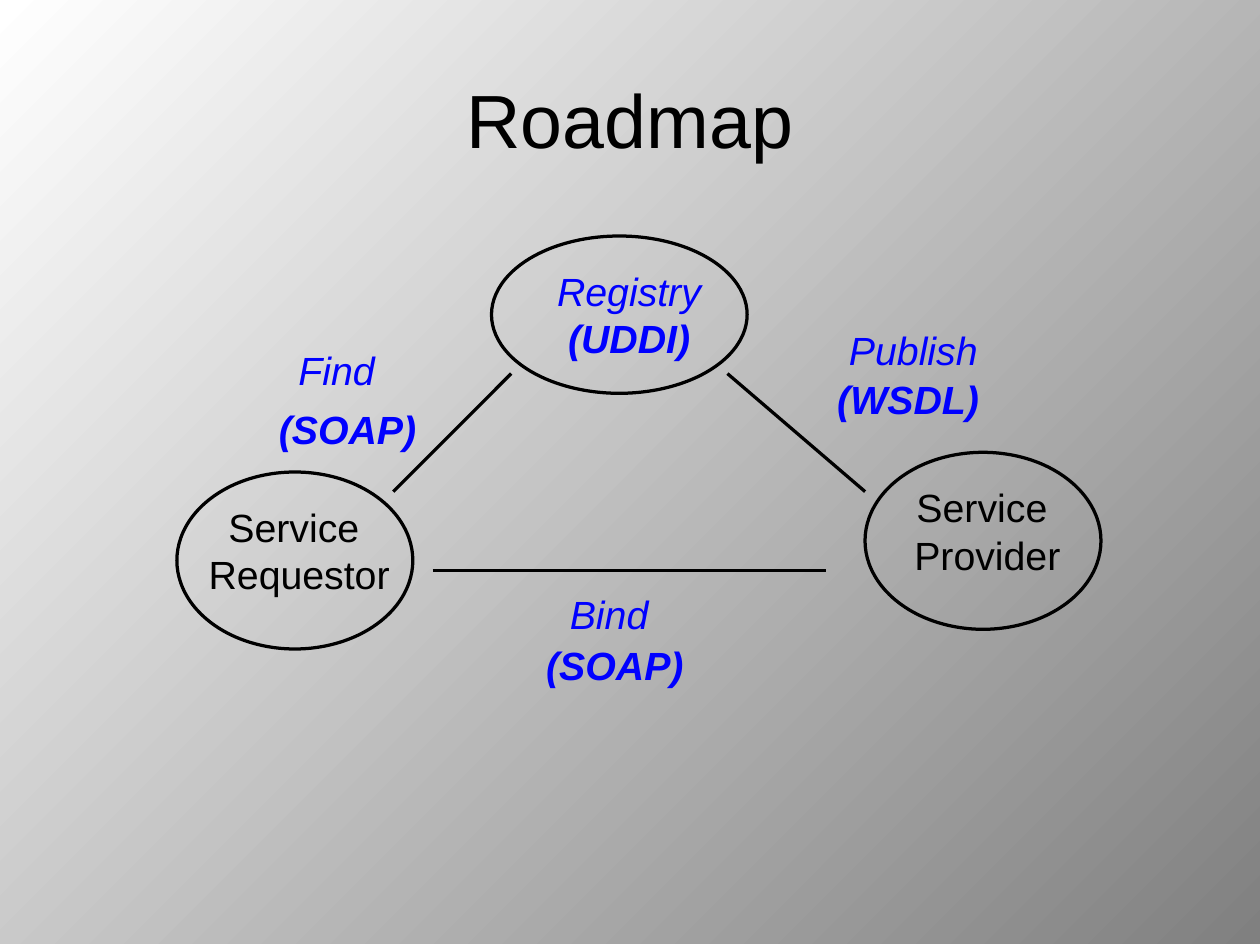
from dataclasses import dataclass
from typing import Any

from lxml.etree import SubElement
from pptx import Presentation
from pptx.dml.color import RGBColor
from pptx.enum.shapes import MSO_CONNECTOR, MSO_SHAPE
from pptx.enum.text import MSO_ANCHOR, MSO_AUTO_SIZE, PP_ALIGN
from pptx.oxml.ns import qn
from pptx.util import Inches, Length, Pt


@dataclass(frozen=True)
class Theme:
    font: str = "Arial"
    black: RGBColor = RGBColor(0, 0, 0)
    blue: RGBColor = RGBColor(0, 0, 255)
    gray: RGBColor = RGBColor(128, 128, 128)
    white: RGBColor = RGBColor(255, 255, 255)
    title: float = 23
    body: float = 12
    line: float = 1


@dataclass(frozen=True)
class Box:
    col: float
    row: float
    cols: float
    rows: float

    def place(self) -> tuple[Length, ...]:
        return tuple(grid(n) for n in (self.col, self.row, self.cols, self.rows))


@dataclass(frozen=True)
class Line:
    text: str
    color: RGBColor
    bold: bool = False
    italic: bool = False
    size: float = Theme.body


@dataclass(frozen=True)
class Node:
    oval: Box
    label: Box
    lines: tuple[Line, ...]
    wrap: bool = False


@dataclass(frozen=True)
class Edge:
    start: tuple[float, float]
    end: tuple[float, float]


@dataclass(frozen=True)
class Label:
    box: Box
    line: Line


THEME = Theme()
CELLS_PER_INCH = 12


def grid(n: float) -> Length:
    return Inches(n / CELLS_PER_INCH)


def action(text: str) -> Line:
    return Line(text, THEME.blue, italic=True)


def protocol(text: str) -> Line:
    return Line(text, THEME.blue, bold=True, italic=True)


def role(text: str) -> Line:
    return Line(text, THEME.black)


def add_text(shapes: Any, box: Box, lines: tuple[Line, ...],
             align: PP_ALIGN = PP_ALIGN.CENTER, wrap: bool = False) -> Any:
    tf = shapes.add_textbox(*box.place()).text_frame
    tf.word_wrap = wrap
    tf.auto_size = MSO_AUTO_SIZE.SHAPE_TO_FIT_TEXT
    for i, line in enumerate(lines):
        p = tf.add_paragraph() if i else tf.paragraphs[0]
        p.alignment = align
        r = p.add_run()
        r.text = line.text
        r.font.name = THEME.font
        r.font.size = Pt(line.size)
        r.font.bold = line.bold
        r.font.italic = line.italic
        r.font.color.rgb = line.color
    return tf


def add_title(shapes: Any, box: Box, text: str) -> None:
    line = Line(text, THEME.black, size=THEME.title)
    tf = add_text(shapes, box, (line,), wrap=True)
    tf.auto_size = MSO_AUTO_SIZE.NONE
    tf.vertical_anchor = MSO_ANCHOR.MIDDLE
    tf.margin_left = tf.margin_right = Inches(0.05)
    tf.margin_top = tf.margin_bottom = Inches(0.03)


def style_line(sp: Any) -> None:
    sp.line.color.rgb = THEME.black
    sp.line.width = Pt(THEME.line)


def add_node(shapes: Any, node: Node) -> None:
    group = shapes.add_group_shape()
    sp = group.shapes.add_shape(MSO_SHAPE.OVAL, *node.oval.place())
    sp.shadow.inherit = False
    sp.fill.background()
    style_line(sp)
    add_text(group.shapes, node.label, node.lines, wrap=node.wrap)


def add_edge(shapes: Any, edge: Edge) -> None:
    ends = [grid(n) for n in (*edge.start, *edge.end)]
    sp = shapes.add_connector(MSO_CONNECTOR.STRAIGHT, *ends)
    style_line(sp)
    SubElement(sp._element.spPr, qn("a:effectLst"))


def paint_background(s: Any) -> None:
    fill = s.background.fill
    fill.gradient()
    fill.gradient_angle = 135
    for stop, color in zip(fill.gradient_stops, (THEME.gray, THEME.white)):
        stop.color.rgb = color


NODES = (
    Node(Box(25, 12, 13, 8), Box(27, 13, 10, 6),
         (action("Registry"), protocol("(UDDI)")), wrap=True),
    Node(Box(9, 24, 12, 9), Box(9.4, 25, 11.65, 6),
         (role("Service "), role("Requestor"))),
    Node(Box(44, 23, 12, 9), Box(45.25, 24, 9.95, 6),
         (role("Service "), role("Provider"))),
)
EDGES = (
    Edge((26, 19), (20, 25)),
    Edge((37, 19), (44, 25)),
    Edge((22, 29), (42, 29)),
)
LABELS = (
    Label(Box(14, 17, 6.5, 3.6), action("Find")),
    Label(Box(42, 16, 9.25, 3.6), action("Publish")),
    Label(Box(27.8, 29.4, 6.75, 3.6), action("Bind")),
    Label(Box(13, 20, 9.75, 3.6), protocol("(SOAP)")),
    Label(Box(26.6, 32, 9.75, 3.6), protocol("(SOAP)")),
    Label(Box(41.4, 18.5, 10, 3.6), protocol("(WSDL)")),
)


def main() -> None:
    prs = Presentation()
    prs.slide_width, prs.slide_height = Inches(5.34), Inches(4)
    s = prs.slides.add_slide(prs.slide_layouts[6])
    paint_background(s)
    add_title(s.shapes, Box(4.8, 2, 54.5, 8), "Roadmap")
    for node in NODES:
        add_node(s.shapes, node)
    for edge in EDGES:
        add_edge(s.shapes, edge)
    for label in LABELS:
        add_text(s.shapes, label.box, (label.line,), PP_ALIGN.LEFT)
    prs.save("out.pptx")


main()
